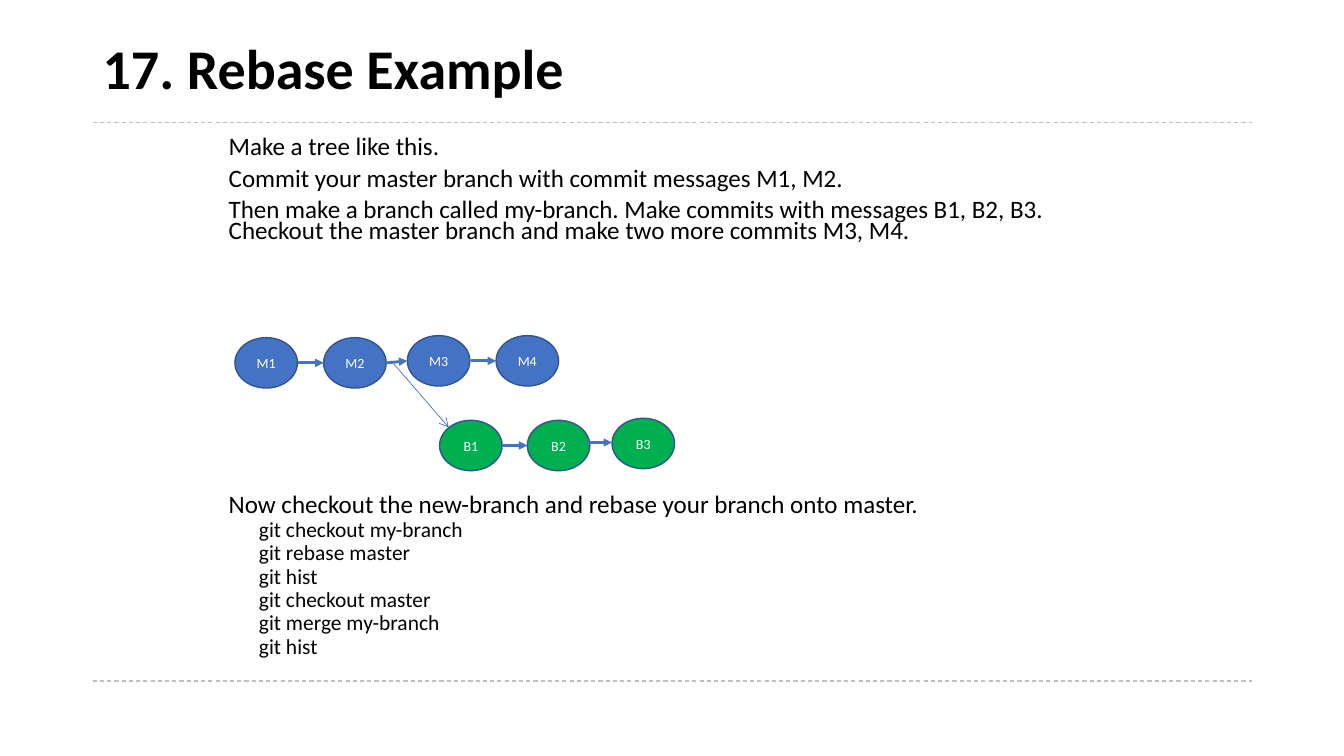
from lxml.etree import SubElement
from pptx import Presentation
from pptx.dml.color import RGBColor
from pptx.enum.dml import MSO_LINE
from pptx.enum.shapes import MSO_CONNECTOR, MSO_SHAPE
from pptx.enum.text import MSO_ANCHOR, PP_ALIGN
from pptx.oxml.ns import qn
from pptx.util import Inches, Pt

BLUE, GREEN, OUTLINE, GREY = "4472C4", "00B050", "325491", "BFBFBF"
COMMIT_WIDTH, COMMIT_HEIGHT = 0.62, 0.5

RULES = [1.22, 6.75, 6.76]
INSTRUCTIONS = [
    "Make a tree like this.",
    "Commit your master branch with commit messages M1, M2.",
    "Then make a branch called my-branch. Make commits with messages B1, B2, B3. "
    "Checkout the master branch and make two more commits M3, M4.",
]
REBASE_STEP = "Now checkout the new-branch and rebase your branch onto master."
COMMANDS = [
    "git checkout my-branch",
    "git rebase master",
    "git hist",
    "git checkout master",
    "git merge my-branch",
    "git hist",
]
COMMITS = [
    ("M1", 2.33, 3.35, BLUE),
    ("M2", 3.21, 3.35, BLUE),
    ("M3", 4.04, 3.33, BLUE),
    ("M4", 4.92, 3.33, BLUE),
    ("B1", 4.36, 4.17, GREEN),
    ("B2", 5.23, 4.17, GREEN),
    ("B3", 6.07, 4.15, GREEN),
]
STEPS = [
    ((2.96, 3.6), (3.21, 3.6)),
    ((3.83, 3.6), (4.04, 3.58)),
    ((4.67, 3.58), (4.92, 3.58)),
    ((4.98, 4.42), (5.23, 4.42)),
    ((5.82, 4.39), (6.07, 4.39)),
]
BRANCH_START, BRANCH_END = (3.88, 3.58), (4.45, 4.24)


def color(value):
    return RGBColor.from_string(value)


def write(frame, text, size, ink="000000", bold=False, align=PP_ALIGN.LEFT,
          spacing=1.0, before=0, indent=0):
    paragraph = frame.paragraphs[0]
    if paragraph.runs:
        paragraph = frame.add_paragraph()
    paragraph.alignment = align
    paragraph.line_spacing = spacing
    paragraph.space_before = Pt(before)
    if indent:
        properties = paragraph._p.get_or_add_pPr()
        properties.set("marL", str(Inches(indent)))
        properties.set("indent", "0")
    run = paragraph.add_run()
    run.text = text
    run.font.name = "Calibri"
    run.font.size = Pt(size)
    run.font.bold = bold
    run.font.color.rgb = color(ink)


def add_text_area(slide, left, top, width, height, anchor=MSO_ANCHOR.TOP):
    frame = slide.shapes.add_textbox(
        Inches(left), Inches(top), Inches(width), Inches(height)).text_frame
    frame.word_wrap = True
    frame.vertical_anchor = anchor
    return frame


def add_line(slide, start, end, stroke, weight, head=None, dash=None):
    line = slide.shapes.add_connector(
        MSO_CONNECTOR.STRAIGHT, *[Inches(value) for value in start + end])
    line.line.color.rgb = color(stroke)
    line.line.width = Pt(weight)
    if dash:
        line.line.dash_style = dash
    if head:
        SubElement(line.line._get_or_add_ln(), qn("a:tailEnd"), type=head)
    SubElement(line._element.spPr, qn("a:effectLst"))


def add_commit(slide, label, left, top, fill):
    commit = slide.shapes.add_shape(
        MSO_SHAPE.OVAL, Inches(left), Inches(top),
        Inches(COMMIT_WIDTH), Inches(COMMIT_HEIGHT))
    commit.shadow.inherit = False
    commit.fill.solid()
    commit.fill.fore_color.rgb = color(fill)
    commit.line.color.rgb = color(OUTLINE)
    commit.line.width = Pt(1)
    commit.text_frame.vertical_anchor = MSO_ANCHOR.MIDDLE
    write(commit.text_frame, label, 10, ink="FFFFFF", align=PP_ALIGN.CENTER)


def main():
    deck = Presentation()
    deck.slide_width, deck.slide_height = Inches(13.33), Inches(7.5)
    slide = deck.slides.add_slide(deck.slide_layouts[6])

    for height in RULES:
        add_line(slide, (0.92, height), (12.42, height), GREY, 0.75,
                 dash=MSO_LINE.DASH)

    title = add_text_area(slide, 0.92, 0.21, 11.5, 1, MSO_ANCHOR.MIDDLE)
    write(title, "17. Rebase Example", 40, bold=True, spacing=0.9)

    instructions = add_text_area(slide, 2.17, 1.33, 9, 1.3)
    for sentence in INSTRUCTIONS:
        write(instructions, sentence, 17.9, spacing=0.7, before=7.5)

    rebase = add_text_area(slide, 2.17, 4.88, 9, 1.8)
    write(rebase, REBASE_STEP, 17.9, spacing=0.7)
    for command in COMMANDS:
        write(rebase, command, 15.3, spacing=0.7, before=3.8, indent=0.3)

    for commit in COMMITS:
        add_commit(slide, *commit)
    for start, end in STEPS:
        add_line(slide, start, end, BLUE, 2, head="triangle")
    add_line(slide, BRANCH_START, BRANCH_END, BLUE, 0.5, head="arrow")

    deck.save("out.pptx")


if __name__ == "__main__":
    main()
